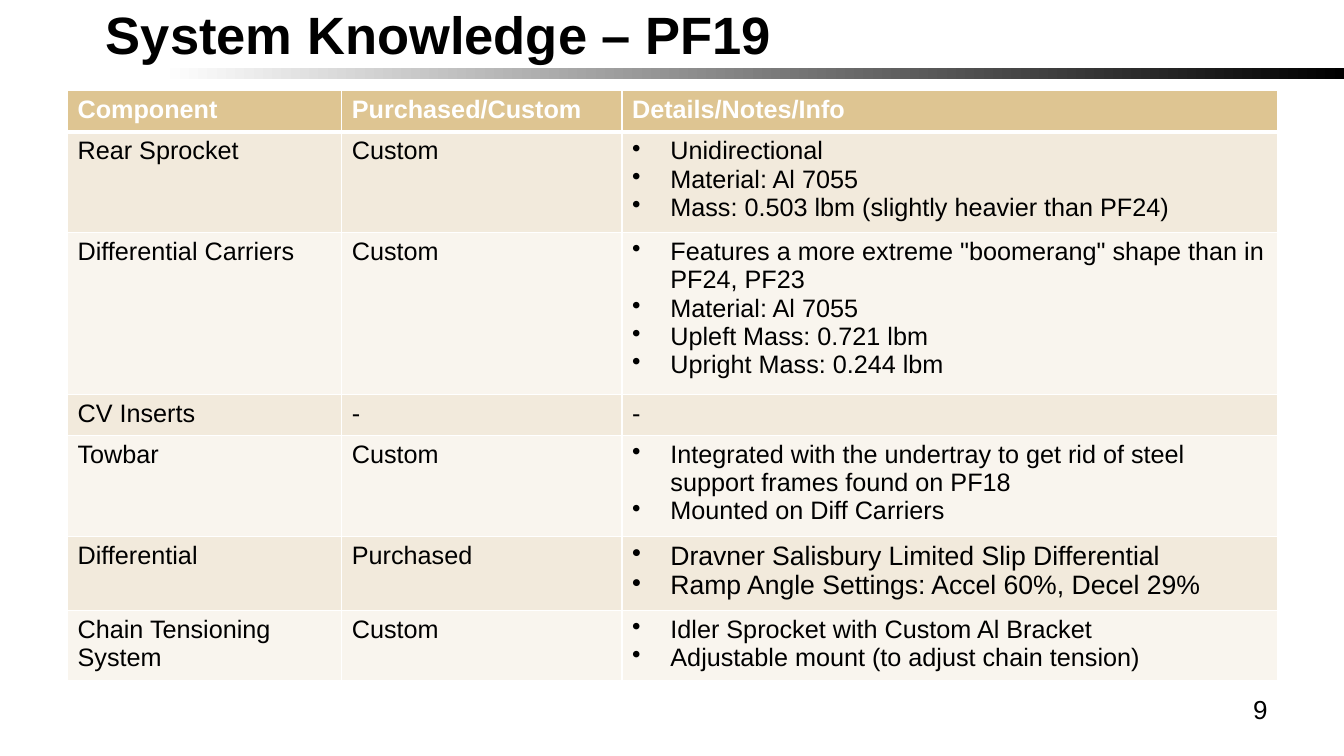
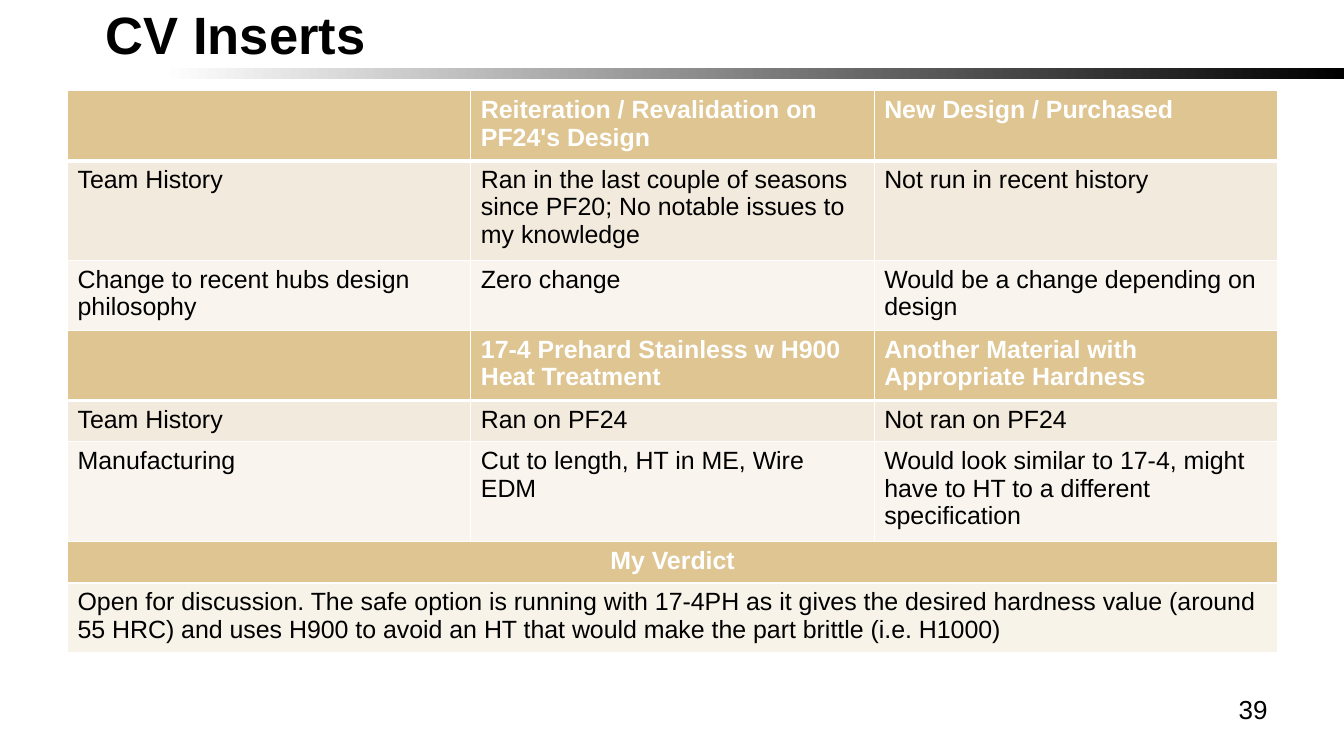
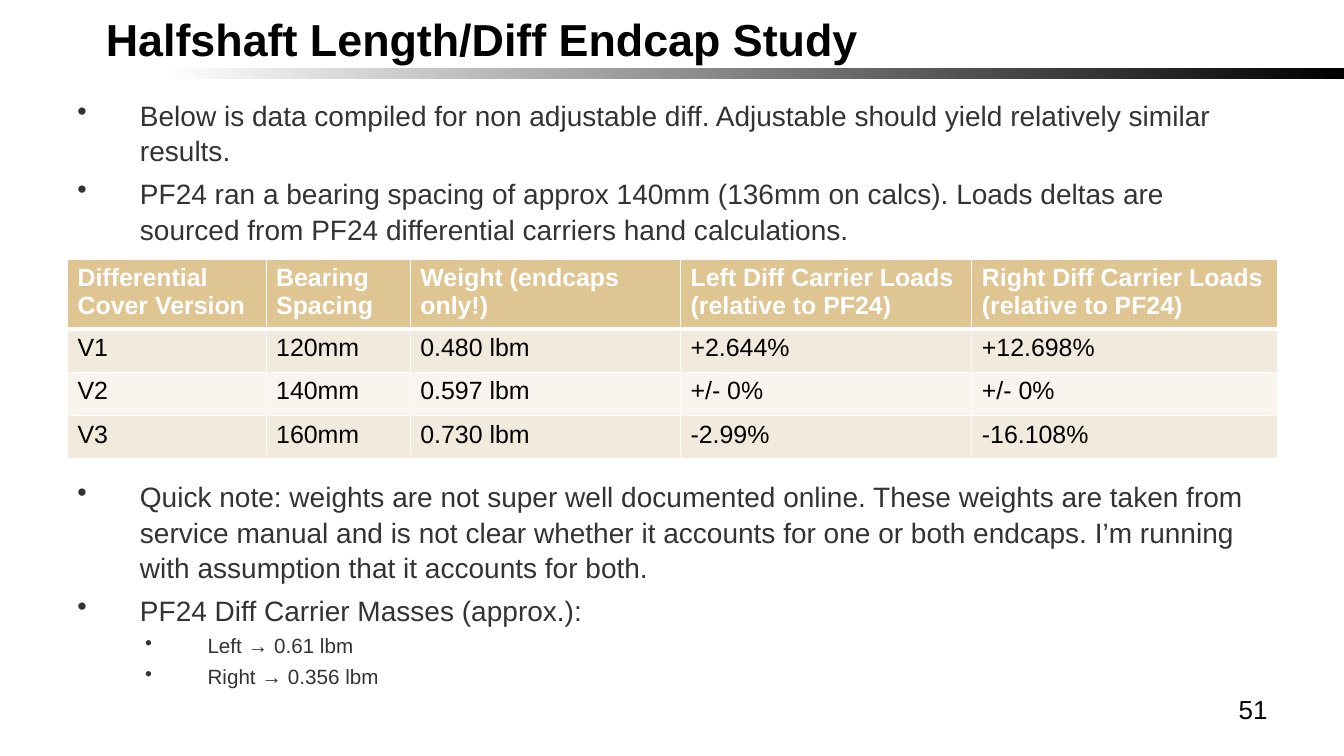
from lxml.etree import SubElement
from pptx import Presentation
from pptx.dml.color import RGBColor
from pptx.enum.shapes import MSO_SHAPE
from pptx.enum.text import MSO_ANCHOR, MSO_AUTO_SIZE, PP_ALIGN
from pptx.oxml.ns import qn
from pptx.util import Inches, Pt

FONT = "Arial"
BLACK, WHITE, BODY_GREY = "000000", "FFFFFF", "333333"
HEADER_GOLD, VERDICT_CREAM = "DEC592", "F8F3E9"
ROW_FILLS = ("F2EADC", "F9F5EE")
LEFT, TOP, WIDTH = 0.67, 0.9, 12
CELL_SIZE = 17.8


def rgb(value):
    """Turn a hex string into a colour."""
    return RGBColor.from_string(value)


def set_font(paragraph, size, color=BLACK, bold=False):
    """Format a whole paragraph."""
    font = paragraph.font
    font.name, font.size, font.bold = FONT, Pt(size), bold
    font.color.rgb = rgb(color)


def set_bullet(paragraph, margin, hang):
    """Give a paragraph a hanging round bullet."""
    properties = paragraph._p.get_or_add_pPr()
    properties.set("marL", str(Inches(margin)))
    properties.set("indent", str(-Inches(hang)))
    SubElement(properties, qn("a:buChar")).set("char", "•")


def add_paragraphs(frame, texts):
    """Write the texts into a frame and yield each paragraph."""
    for index, text in enumerate(texts):
        paragraph = frame.add_paragraph() if index else frame.paragraphs[0]
        paragraph.text = text
        yield paragraph


def add_text(slide, left, top, width, height):
    """Add a wrapping text box and return its frame."""
    frame = slide.shapes.add_textbox(
        Inches(left), Inches(top), Inches(width), Inches(height)).text_frame
    frame.word_wrap = True
    return frame


def add_band(slide):
    """Draw the fading band under the title."""
    band = slide.shapes.add_shape(
        MSO_SHAPE.RECTANGLE, 0, Inches(0.67), Inches(13.33), Inches(0.11))
    band.shadow.inherit = False
    band.line.fill.background()
    band.fill.gradient()
    band.fill.gradient_angle = 180
    for stop, position, color in zip(
            band.fill.gradient_stops, (0, 0.88), (BLACK, WHITE)):
        stop.position = position
        stop.color.rgb = rgb(color)


def add_slide(deck, title_text, number, title_size=37.5):
    """Add a slide with band, title and page number."""
    slide = deck.slides.add_slide(deck.slide_layouts[5])
    add_band(slide)
    title = slide.shapes.title
    title.left, title.top = Inches(LEFT), Inches(0.22)
    title.width, title.height = Inches(8.67), Inches(0.43)
    frame = title.text_frame
    frame.text = title_text
    frame.word_wrap = True
    frame.auto_size = MSO_AUTO_SIZE.NONE
    frame.vertical_anchor = MSO_ANCHOR.BOTTOM
    frame.margin_left, frame.margin_bottom = Inches(0.38), 0
    heading = frame.paragraphs[0]
    heading.alignment = PP_ALIGN.LEFT
    set_font(heading, title_size, bold=True)
    page = add_text(slide, 9.56, 6.83, 3.11, 0.52).paragraphs[0]
    page.text = str(number)
    page.alignment = PP_ALIGN.RIGHT
    set_font(page, 18.6)
    return slide


def add_bullets(slide, top, height, items):
    """Add a list of (level, text) bullets."""
    frame = add_text(slide, LEFT, top, WIDTH, height)
    paragraphs = add_paragraphs(frame, [text for _, text in items])
    for index, (paragraph, (level, _)) in enumerate(zip(paragraphs, items)):
        size = 14.7 if level else 20
        paragraph.level = level
        set_bullet(paragraph, 1.29 if level else 0.62, 0.62)
        paragraph.line_spacing = 1.07
        if index:
            paragraph.space_before = Pt(round(size * 0.22, 1))
        set_font(paragraph, size, BODY_GREY)


def set_borders(cell, top, bottom):
    """Draw white borders round a cell."""
    properties = cell._tc.get_or_add_tcPr()
    for side, width in (("L", 1), ("R", 1), ("T", top), ("B", bottom)):
        border = SubElement(properties, qn(f"a:ln{side}"), w=str(Pt(width)))
        fill = SubElement(border, qn("a:solidFill"))
        SubElement(fill, qn("a:srgbClr"), val=WHITE)


def write_cell(cell, content, fill, size=CELL_SIZE, header=False):
    """Fill a cell with plain text, or with bullets if given a list."""
    cell.fill.solid()
    cell.fill.fore_color.rgb = rgb(fill)
    bulleted = isinstance(content, list)
    texts = content if bulleted else [content]
    for paragraph in add_paragraphs(cell.text_frame, texts):
        if bulleted:
            set_bullet(paragraph, 0.38, 0.38)
        set_font(paragraph, size, WHITE if header else BLACK, header)


def add_grid(slide, top, widths, heights, rows, size=CELL_SIZE):
    """Add a table with a gold header row and alternating rows."""
    table = slide.shapes.add_table(
        len(heights), len(widths), Inches(LEFT), Inches(top),
        Inches(WIDTH), Inches(sum(heights))).table
    for column, width in zip(table.columns, widths):
        column.width = Inches(width)
    for row, height in zip(table.rows, heights):
        row.height = Inches(height)
    for r, row in enumerate(table.rows):
        for cell in row.cells:
            set_borders(cell, 3 if r == 1 else 1, 3 if r == 0 else 1)
    for r, contents in enumerate(rows):
        fill = ROW_FILLS[(r - 1) % 2] if r else HEADER_GOLD
        for c, content in enumerate(contents):
            write_cell(table.cell(r, c), content, fill, size, r == 0)
    return table


def write_full_row(table, row, text, fill, header=False):
    """Merge a row into one cell and write its text."""
    cell = table.cell(row, 0)
    cell.merge(table.cell(row, len(table.columns) - 1))
    write_cell(cell, text, fill, header=header)
    if header:
        cell.text_frame.paragraphs[0].alignment = PP_ALIGN.CENTER


def add_knowledge_slide(deck):
    """Build the component overview."""
    slide = add_slide(deck, "System Knowledge – PF19", 9)
    components = add_grid(
        slide, TOP, (2.72, 2.78, 6.5),
        (0.41, 0.94, 1.5, 0.41, 0.94, 0.68, 0.67), [
            ("Component", "Purchased/Custom", "Details/Notes/Info"),
            ("Rear Sprocket", "Custom",
             ["Unidirectional", "Material: Al 7055",
              "Mass: 0.503 lbm (slightly heavier than PF24)"]),
            ("Differential Carriers", "Custom",
             ['Features a more extreme "boomerang" shape than in PF24, PF23',
              "Material: Al 7055", "Upleft Mass: 0.721 lbm",
              "Upright Mass: 0.244 lbm"]),
            ("CV Inserts", "-", "-"),
            ("Towbar", "Custom",
             ["Integrated with the undertray to get rid of steel support "
              "frames found on PF18", "Mounted on Diff Carriers"]),
            ("Differential", "Purchased",
             ["Dravner Salisbury Limited Slip Differential",
              "Ramp Angle Settings: Accel 60%, Decel 29%"]),
            ("Chain Tensioning System", "Custom",
             ["Idler Sprocket with Custom Al Bracket",
              "Adjustable mount (to adjust chain tension)"]),
        ], size=18)
    for detail in components.cell(5, 2).text_frame.paragraphs:
        detail.font.size = Pt(19)


def add_inserts_slide(deck):
    """Build the design and material comparison."""
    slide = add_slide(deck, "CV Inserts", 39)
    widths = (4, 4, 4)
    add_grid(slide, TOP, widths, (0.65, 0.93, 0.65), [
        ("", "Reiteration / Revalidation on PF24's Design",
         "New Design / Purchased"),
        ("Team History",
         "Ran in the last couple of seasons since PF20; No notable issues "
         "to my knowledge", "Not run in recent history"),
        ("Change to recent hubs design philosophy", "Zero change",
         "Would be a change depending on design"),
    ])
    materials = add_grid(
        slide, 3.28, widths, (0.65, 0.41, 0.93, 0.41, 0.65), [
            ("", "17-4 Prehard Stainless w H900 Heat Treatment",
             "Another Material with Appropriate Hardness"),
            ("Team History", "Ran on PF24", "Not ran on PF24"),
            ("Manufacturing", "Cut to length, HT in ME, Wire EDM",
             "Would look similar to 17-4, might have to HT to a different "
             "specification"),
        ])
    write_full_row(materials, 3, "My Verdict", HEADER_GOLD, header=True)
    write_full_row(
        materials, 4,
        "Open for discussion. The safe option is running with 17-4PH as it "
        "gives the desired hardness value (around 55 HRC) and uses H900 to "
        "avoid an HT that would make the part brittle (i.e. H1000)",
        VERDICT_CREAM)


def add_study_slide(deck):
    """Build the endcap study."""
    slide = add_slide(deck, "Halfshaft Length/Diff Endcap Study", 51, 32)
    add_bullets(slide, TOP, 1.5, [
        (0, "Below is data compiled for non adjustable diff. Adjustable "
            "should yield relatively similar results."),
        (0, "PF24 ran a bearing spacing of approx 140mm (136mm on calcs). "
            "Loads deltas are sourced from PF24 differential carriers hand "
            "calculations."),
    ])
    add_grid(
        slide, 2.57, (1.97, 1.43, 2.68, 2.89, 3.03),
        (0.65, 0.43, 0.43, 0.43), [
            ("Differential Cover Version", "Bearing Spacing",
             "Weight (endcaps only!)",
             "Left Diff Carrier Loads (relative to PF24)",
             "Right Diff Carrier Loads (relative to PF24)"),
            ("V1", "120mm", "0.480 lbm", "+2.644%", "+12.698%"),
            ("V2", "140mm", "0.597 lbm", "+/- 0%", "+/- 0%"),
            ("V3", "160mm", "0.730 lbm", "-2.99%", "-16.108%"),
        ])
    add_bullets(slide, 4.68, 2.05, [
        (0, "Quick note: weights are not super well documented online. These "
            "weights are taken from service manual and is not clear whether "
            "it accounts for one or both endcaps. I’m running with "
            "assumption that it accounts for both."),
        (0, "PF24 Diff Carrier Masses (approx.):"),
        (1, "Left → 0.61 lbm"),
        (1, "Right → 0.356 lbm"),
    ])


def main():
    """Build and save the deck."""
    deck = Presentation()
    deck.slide_width, deck.slide_height = Inches(13.33), Inches(7.5)
    add_knowledge_slide(deck)
    add_inserts_slide(deck)
    add_study_slide(deck)
    deck.save("out.pptx")


if __name__ == "__main__":
    main()
